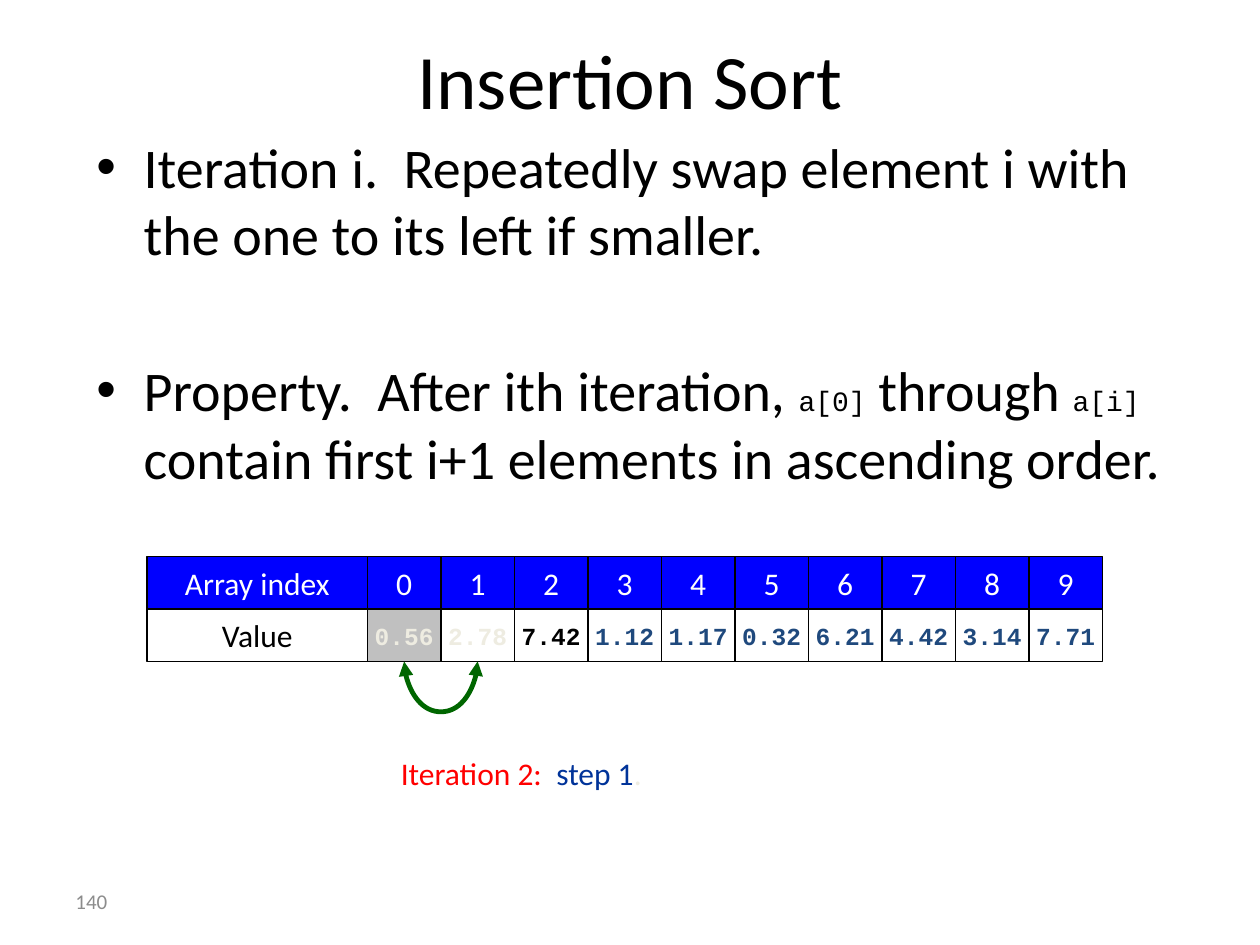
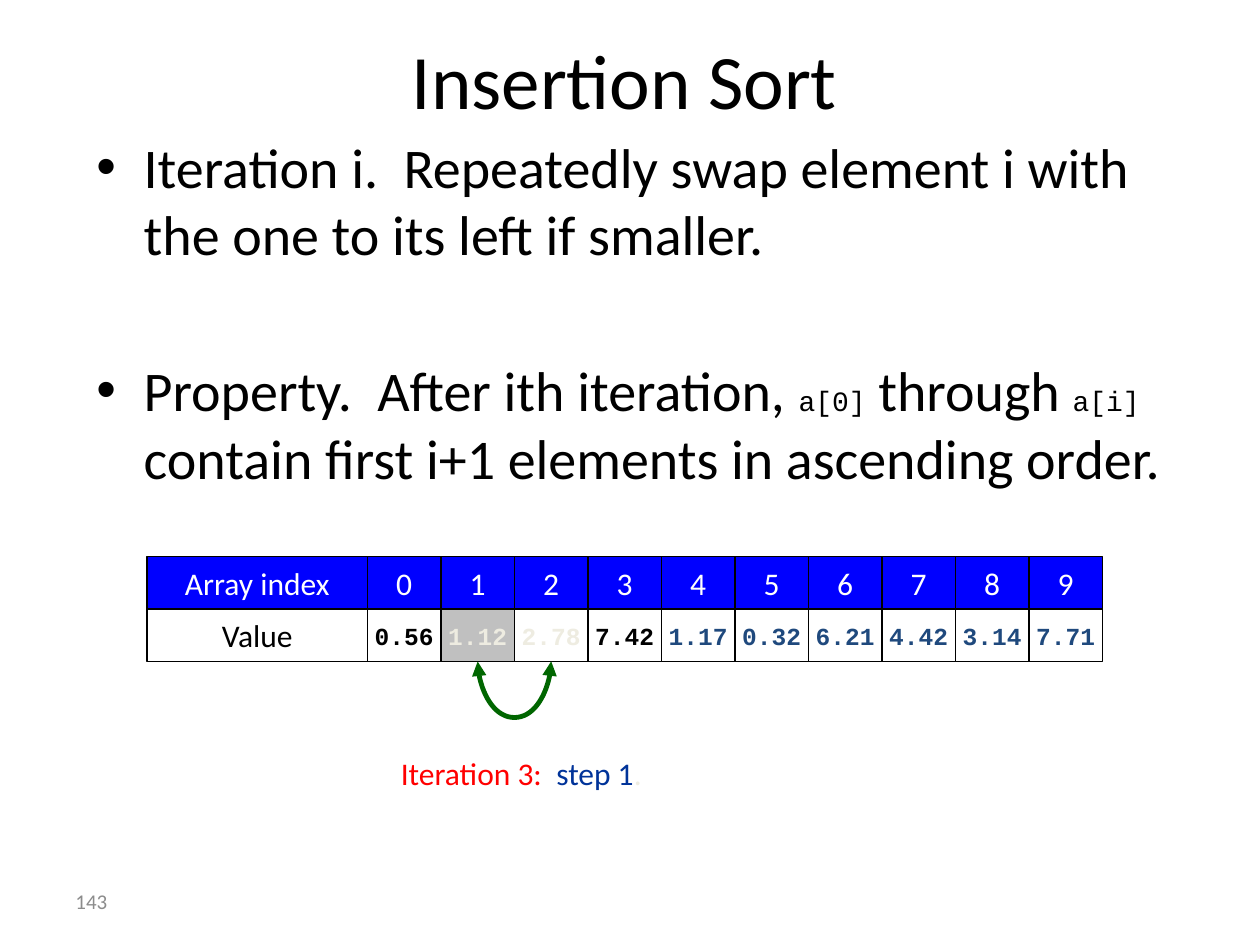
from lxml import etree
from pptx import Presentation
from pptx.dml.color import RGBColor
from pptx.enum.shapes import MSO_CONNECTOR as Connector, MSO_SHAPE as Shape
from pptx.enum.text import MSO_ANCHOR as Anchor, PP_ALIGN as Align
from pptx.oxml.ns import qn
from pptx.util import Pt

SCALE = 7620  # EMU in one px, 120 px to the inch
COLORS = {
    "black": "000000", "white": "FFFFFF", "header": "0000FF", "pending": "1F497D",
    "pale": "EEECE1", "moved": "C0C0C0", "arrow": "006600", "iteration": "FF0000",
    "step": "003399", "number": "8C8C8C",
}

# Text styles shared by both slides
STYLES = {
    "title": {"name": "Calibri", "size": Pt(44)},
    "body": {"name": "Calibri", "size": Pt(32)},
    "code": {"name": "Courier New", "size": Pt(16)},
    "label": {"name": "Calibri", "size": Pt(18)},
    "value": {"name": "Courier New", "size": Pt(14), "bold": True},
    "number": {"name": "Calibri", "size": Pt(12)},
}

# Content
TITLE = "Insertion Sort"
BULLETS = [
    [("Iteration i.  Repeatedly swap element i with the one to its left if smaller.", "body")],
    [("Property.  After ith iteration, ", "body"), ("a[0]", "code"),
     (" through ", "body"), ("a[i]", "code"),
     (" contain first i+1 elements in ascending order.", "body")],
]
ROW_LABELS = ("Array index", "Value")
SLIDES = [
    {"number": "140", "iteration": 2, "swap": 0, "title_left": 60, "arc_depth": 53,
     "values": "0.56 2.78 7.42 1.12 1.17 0.32 6.21 4.42 3.14 7.71".split()},
    {"number": "143", "iteration": 3, "swap": 1, "title_left": 55, "arc_depth": 59,
     "values": "0.56 1.12 2.78 7.42 1.17 0.32 6.21 4.42 3.14 7.71".split()},
]

# Places, in px
PAGE_SIZE = (1200, 900)
TITLE_TOP, TITLE_WIDTH, TITLE_HEIGHT = 0, 1080, 150
BODY = (80, 120, 1060, 710)
CAPTION = (370, 712, 490, 48)
NUMBER = (60, 834, 280, 48)
ARRAY_LEFT, ARRAY_TOP = 140, 530
LABEL_WIDTH, CELL_WIDTH, CELL_HEIGHT = 210, 70, 50
BULLET_INDENT = 45
ARC_BASE = 1588  # EMU, the near-zero thickness that the arc depth is measured against


def px(*lengths):
    return [length * SCALE for length in lengths]


def color(name):
    return RGBColor.from_string(COLORS[name])


def apply(target, formats):
    for name, value in formats.items():
        setattr(target, name, value)


def add_span(para, text, style, ink="black"):
    span = para.add_run()
    span.text = text
    apply(span.font, STYLES[style])
    span.font.color.rgb = color(ink)


def add_text(page, place, spans, anchor=Anchor.TOP, align=Align.LEFT):
    frame = page.shapes.add_textbox(*px(*place)).text_frame
    apply(frame, {"word_wrap": True, "vertical_anchor": anchor})
    para = frame.paragraphs[0]
    para.alignment = align
    for span in spans:
        add_span(para, *span)


def add_bullets(page):
    frame = page.shapes.add_textbox(*px(*BODY)).text_frame
    frame.word_wrap = True
    for i, spans in enumerate(BULLETS):
        para = frame.add_paragraph() if i else frame.paragraphs[0]
        layout = para._p.get_or_add_pPr()
        indent = BULLET_INDENT * SCALE
        layout.set("marL", str(indent))
        layout.set("indent", str(-indent))
        etree.SubElement(layout, qn("a:buFont")).set("typeface", "Arial")
        etree.SubElement(layout, qn("a:buChar")).set("char", "•")
        if i:
            para.space_before = Pt(51)
        for span in spans:
            add_span(para, *span)


def add_cell(page, row, column, text, style, ink, fill):
    """Draw one array cell; column -1 holds the row label."""
    left = ARRAY_LEFT + (LABEL_WIDTH + column * CELL_WIDTH if column >= 0 else 0)
    width = CELL_WIDTH if column >= 0 else LABEL_WIDTH
    top = ARRAY_TOP + row * CELL_HEIGHT
    cell = page.shapes.add_shape(Shape.RECTANGLE, *px(left, top, width, CELL_HEIGHT))
    cell.shadow.inherit = False
    if fill:
        cell.fill.solid()
        cell.fill.fore_color.rgb = color(fill)
    else:
        cell.fill.background()
    cell.line.color.rgb = color("black")
    cell.line.width = Pt(0.75)
    apply(cell.text_frame, {"word_wrap": False, "vertical_anchor": Anchor.MIDDLE})
    para = cell.text_frame.paragraphs[0]
    para.alignment = Align.CENTER
    add_span(para, text, style, ink)
    return cell


def value_look(index, swap, iteration):
    """Return the ink and fill of a value at this step of the sort."""
    if index == swap:
        return "pale", "moved"
    if index == swap + 1:
        return "pale", "white"
    if index <= iteration:
        return "black", None
    return "pending", "white"


def add_array(page, values, swap, iteration):
    for row, (label, ink, fill) in enumerate(
            zip(ROW_LABELS, ("white", "black"), ("header", "white"))):
        add_cell(page, row, -1, label, "label", ink, fill)
    cells = []
    for index, value in enumerate(values):
        add_cell(page, 0, index, str(index), "label", "white", "header")
        look = value_look(index, swap, iteration)
        cells.append(add_cell(page, 1, index, value, "value", *look))
    return cells


def add_swap_arc(page, first, second, depth):
    arc = page.shapes.add_connector(Connector.CURVE, 0, 0, 0, 0)
    arc.begin_connect(first, 2)
    arc.end_connect(second, 2)
    # A thin upright connector, turned so that it hangs below the two cells
    span = CELL_WIDTH * SCALE
    apply(arc, {
        "left": second.left - ARC_BASE // 2,
        "top": first.top + first.height - span // 2,
        "width": ARC_BASE, "height": span,
    })
    frame = arc._element.spPr.find(qn("a:xfrm"))
    frame.set("rot", str(270 * 60000))
    frame.set("flipH", "1")
    geometry = arc._element.spPr.find(qn("a:prstGeom"))
    guides = geometry.find(qn("a:avLst"))
    if guides is None:
        guides = etree.SubElement(geometry, qn("a:avLst"))
    guide = etree.SubElement(guides, qn("a:gd"))
    guide.set("name", "adj1")
    guide.set("fmla", f"val {depth * SCALE * 100000 // ARC_BASE}")
    arc.line.color.rgb = color("arrow")
    arc.line.width = Pt(2.75)
    line = arc.line._get_or_add_ln()
    for end in ("a:headEnd", "a:tailEnd"):
        etree.SubElement(line, qn(end)).set("type", "triangle")
    etree.SubElement(arc._element.spPr, qn("a:effectLst"))


def build_slide(deck, data):
    page = deck.slides.add_slide(deck.slide_layouts[6])
    swap, iteration = data["swap"], data["iteration"]
    # Page number, caption and title
    add_text(page, NUMBER, [(data["number"], "number", "number")], Anchor.MIDDLE)
    add_text(page, CAPTION, [(f"Iteration {iteration}:  ", "label", "iteration"),
                             ("step 1", "label", "step"), (".", "label", "pale")])
    title_place = (data["title_left"], TITLE_TOP, TITLE_WIDTH, TITLE_HEIGHT)
    add_text(page, title_place, [(TITLE, "title")], Anchor.MIDDLE, Align.CENTER)
    # Array with the swapped pair, then the explanation
    cells = add_array(page, data["values"], swap, iteration)
    add_swap_arc(page, cells[swap], cells[swap + 1], data["arc_depth"])
    add_bullets(page)


def main():
    deck = Presentation()
    deck.slide_width, deck.slide_height = px(*PAGE_SIZE)
    for data in SLIDES:
        build_slide(deck, data)
    deck.save("out.pptx")


if __name__ == "__main__":
    main()
